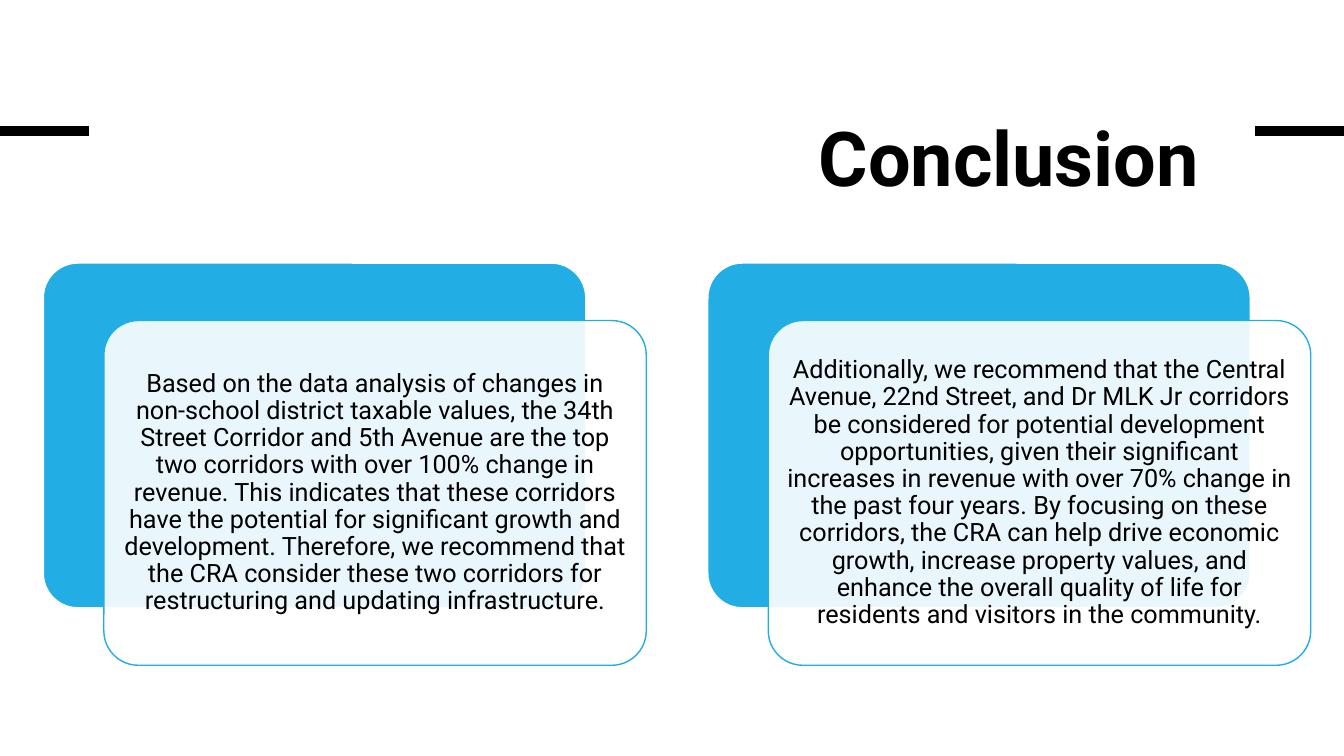
from lxml.etree import SubElement
from pptx import Presentation
from pptx.dml.color import RGBColor
from pptx.enum.shapes import MSO_CONNECTOR, MSO_SHAPE
from pptx.enum.text import MSO_ANCHOR, MSO_AUTO_SIZE, PP_ALIGN
from pptx.oxml.ns import qn
from pptx.util import Inches, Pt

BLACK = RGBColor(0x00, 0x00, 0x00)
WHITE = RGBColor(0xFF, 0xFF, 0xFF)
BLUE = RGBColor(0x22, 0xAD, 0xE4)
FONT = "Roboto"

SLIDE_WIDTH, SLIDE_HEIGHT = 13.33, 7.5
RULE_LENGTH, RULE_TOP = 0.88, 1.3
CARD_WIDTH, CARD_HEIGHT = 5.38, 3.42
CARD_TOP = 2.61
CARD_LEFTS = (0.43, 7.02)
OFFSET_X, OFFSET_Y = 0.6, 0.57
TEXT_MARGIN = 0.1

RECOMMENDATIONS = (
    "Based on the data analysis of changes in non-school district taxable "
    "values, the 34th Street Corridor and 5th Avenue are the top two corridors "
    "with over 100% change in revenue. This indicates that these corridors have "
    "the potential for significant growth and development. Therefore, we "
    "recommend that the CRA consider these two corridors for restructuring and "
    "updating infrastructure.",
    "Additionally, we recommend that the Central Avenue, 22nd Street, and Dr MLK "
    "Jr corridors be considered for potential development opportunities, given "
    "their significant increases in revenue with over 70% change in the past "
    "four years. By focusing on these corridors, the CRA can help drive economic "
    "growth, increase property values, and enhance the overall quality of life "
    "for residents and visitors in the community.",
)


class SlideBuilder:
    """Holds the current slide and draws its elements in one style."""

    def __init__(self, slide):
        self.slide = slide

    def set_text(self, text_frame, text, size, alignment, spacing, bold=False):
        text_frame.text = text
        text_frame.word_wrap = True
        text_frame.auto_size = MSO_AUTO_SIZE.NONE
        paragraph = text_frame.paragraphs[0]
        paragraph.alignment = alignment
        paragraph.line_spacing = spacing
        font = paragraph.runs[0].font
        font.name, font.size, font.bold = FONT, Pt(size), bold
        font.color.rgb = BLACK

    def title(self, text, left, top, width, height):
        title = self.slide.shapes.title
        title.left, title.top = Inches(left), Inches(top)
        title.width, title.height = Inches(width), Inches(height)
        title.text_frame.vertical_anchor = MSO_ANCHOR.TOP
        self.set_text(title.text_frame, text, 54, PP_ALIGN.RIGHT, 0.85, bold=True)

    def rule(self, left):
        line = self.slide.shapes.add_connector(
            MSO_CONNECTOR.STRAIGHT, Inches(left), Inches(RULE_TOP),
            Inches(left + RULE_LENGTH), Inches(RULE_TOP))
        line.line.color.rgb = BLACK
        line.line.width = Pt(6.75)
        SubElement(line._element.spPr, qn("a:effectLst"))

    def panel(self, left, top, fill, outline, opacity=100):
        shape = self.slide.shapes.add_shape(
            MSO_SHAPE.ROUNDED_RECTANGLE, Inches(left), Inches(top),
            Inches(CARD_WIDTH), Inches(CARD_HEIGHT))
        shape.adjustments[0] = 0.1
        shape.shadow.inherit = False
        shape.fill.solid()
        shape.fill.fore_color.rgb = fill
        shape.line.color.rgb = outline
        shape.line.width = Pt(1)
        if opacity < 100:
            color = shape._element.spPr.find(qn("a:solidFill")).find(qn("a:srgbClr"))
            SubElement(color, qn("a:alpha"), val=str(opacity * 1000))

    def body_text(self, text, left, top, width, height):
        box = self.slide.shapes.add_textbox(
            Inches(left), Inches(top), Inches(width), Inches(height))
        frame = box.text_frame
        frame.margin_left = frame.margin_right = Inches(0.07)
        frame.margin_top = frame.margin_bottom = Inches(0.07)
        frame.vertical_anchor = MSO_ANCHOR.MIDDLE
        self.set_text(frame, text, 18, PP_ALIGN.CENTER, 0.9)

    def card(self, left, text):
        front_left, front_top = left + OFFSET_X, CARD_TOP + OFFSET_Y
        self.panel(left, CARD_TOP, BLUE, WHITE)
        self.panel(front_left, front_top, WHITE, BLUE, opacity=90)
        self.body_text(text, front_left + TEXT_MARGIN, front_top + TEXT_MARGIN,
                       CARD_WIDTH - 2 * TEXT_MARGIN, CARD_HEIGHT - 2 * TEXT_MARGIN)


def main():
    presentation = Presentation()
    presentation.slide_width = Inches(SLIDE_WIDTH)
    presentation.slide_height = Inches(SLIDE_HEIGHT)
    title_only = presentation.slide_layouts[5]
    builder = SlideBuilder(presentation.slides.add_slide(title_only))

    # Title between two edge rules
    builder.title("Conclusion ", 5.2, 1.19, 6.98, 1.71)
    for left in (0, SLIDE_WIDTH - RULE_LENGTH):
        builder.rule(left)

    # Recommendation cards
    for left, text in zip(CARD_LEFTS, RECOMMENDATIONS):
        builder.card(left, text)

    presentation.save("out.pptx")


if __name__ == "__main__":
    main()
